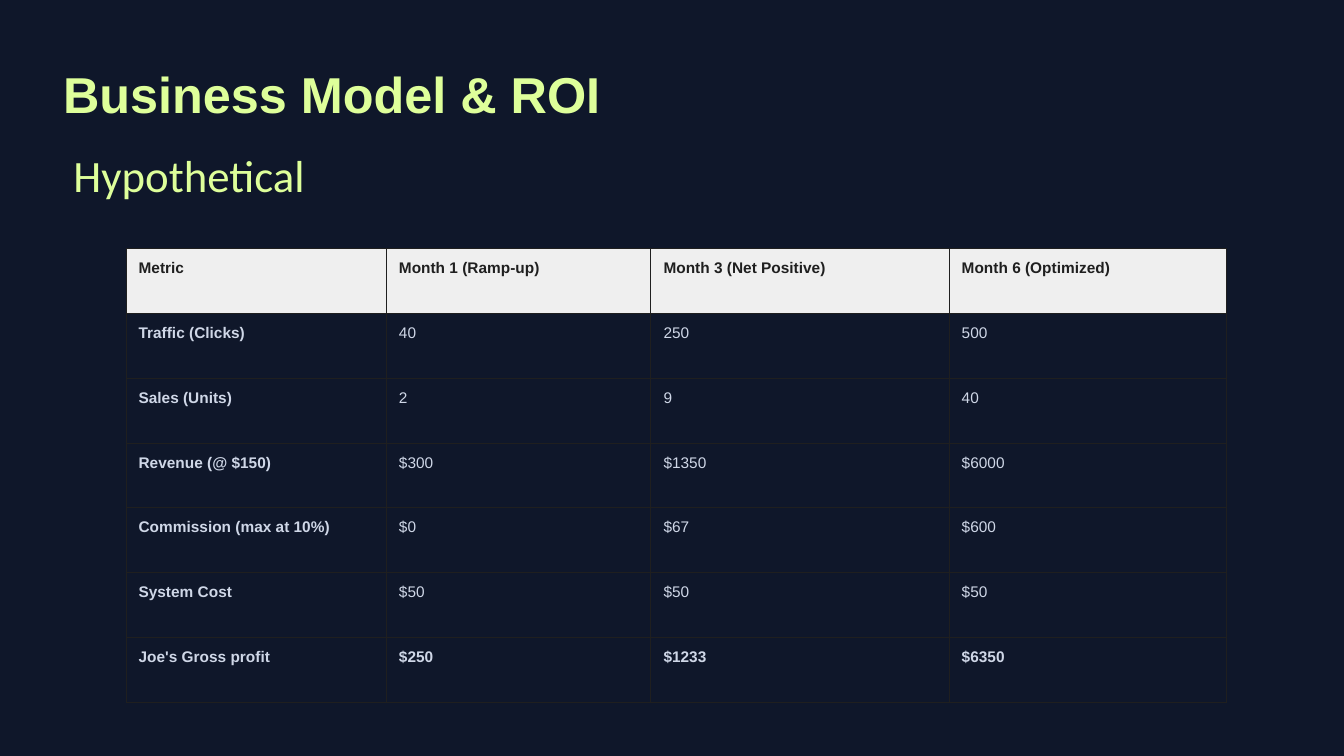
import pptx
import pptx.dml.color
import pptx.enum.text
import pptx.oxml
import pptx.oxml.ns
import pptx.util

PX = 9525  # EMU per px, 96 px to the inch
LIME, NAVY, INK, MIST, HEADER = "DEFF9A", "0F172A", "1F1F1F", "CFD7E7", "EFEFEF"

COLUMN_WIDTHS = [248, 252, 284, 264]
ROWS = [
    ["Metric", "Month 1 (Ramp-up)", "Month 3 (Net Positive)", "Month 6 (Optimized)"],
    ["Traffic (Clicks)", "40", "250", "500"],
    ["Sales (Units)", "2", "9", "40"],
    ["Revenue (@ $150)", "$300", "$1350", "$6000"],
    ["Commission (max at 10%)", "$0", "$67", "$600"],
    ["System Cost", "$50", "$50", "$50"],
    ["Joe's Gross profit", "$250", "$1233", "$6350"],
]


def px(*lengths):
    return [pptx.util.Emu(n * PX) for n in lengths]


def rgb(hex_color):
    return pptx.dml.color.RGBColor.from_string(hex_color)


def write(tf, text, size, color, font="Arial", bold=False, spacing=1.0):
    p = tf.paragraphs[0]
    p.alignment = pptx.enum.text.PP_ALIGN.LEFT
    p.line_spacing = spacing
    r = p.add_run()
    r.text = text
    r.font.name = font
    r.font.size = pptx.util.Pt(size)
    r.font.bold = bold
    r.font.color.rgb = rgb(color)


def set_margins(target, horizontal, vertical):
    target.margin_left, target.margin_right = px(horizontal, horizontal)
    target.margin_top, target.margin_bottom = px(vertical, vertical)


def add_title(slide, text):
    sp = slide.shapes.title
    sp.left, sp.top, sp.width, sp.height = px(60, 60, 1218, 58)
    tf = sp.text_frame
    set_margins(tf, 0, 0)
    tf.auto_size = pptx.enum.text.MSO_AUTO_SIZE.NONE
    tf.vertical_anchor = pptx.enum.text.MSO_ANCHOR.TOP
    write(tf, text, 36, LIME, bold=True)


def add_subtitle(slide, text):
    tf = slide.shapes.add_textbox(*px(60, 131, 427, 71)).text_frame
    tf.word_wrap = True
    set_margins(tf, 10, 10)
    write(tf, text, 32, LIME, font="Calibri")


def set_borders(cell, color, width):
    tc_pr = cell._tc.get_or_add_tcPr()
    for i, side in enumerate(["lnL", "lnR", "lnT", "lnB"]):
        tc_pr.insert(i, pptx.oxml.parse_xml(
            f'<a:{side} {pptx.oxml.ns.nsdecls("a")} w="{pptx.util.Pt(width)}">'
            f'<a:solidFill><a:srgbClr val="{color}"/></a:solidFill></a:{side}>'))


def add_metrics_table(slide):
    frame = slide.shapes.add_table(len(ROWS), len(COLUMN_WIDTHS),
                                   *px(120, 237, sum(COLUMN_WIDTHS), 432))
    table = frame.table
    table.first_row = table.horz_banding = False
    for column, width in zip(table.columns, px(*COLUMN_WIDTHS)):
        column.width = width
    last = len(ROWS) - 1
    for i, row in enumerate(ROWS):
        for j, text in enumerate(row):
            cell = table.cell(i, j)
            set_margins(cell, 12, 8)
            if i == 0:
                cell.fill.solid()
                cell.fill.fore_color.rgb = rgb(HEADER)
            else:
                cell.fill.background()
            set_borders(cell, INK, 0.75)
            write(cell.text_frame, text, 11, INK if i == 0 else MIST,
                  bold=i in (0, last) or j == 0, spacing=1.15)


def main():
    prs = pptx.Presentation()
    prs.slide_width, prs.slide_height = px(1280, 720)
    slide = prs.slides.add_slide(prs.slide_layouts.get_by_name("Title Only"))
    slide.background.fill.solid()
    slide.background.fill.fore_color.rgb = rgb(NAVY)
    add_title(slide, "Business Model & ROI")
    add_subtitle(slide, "Hypothetical")
    add_metrics_table(slide)
    prs.save("out.pptx")


if __name__ == "__main__":
    main()
